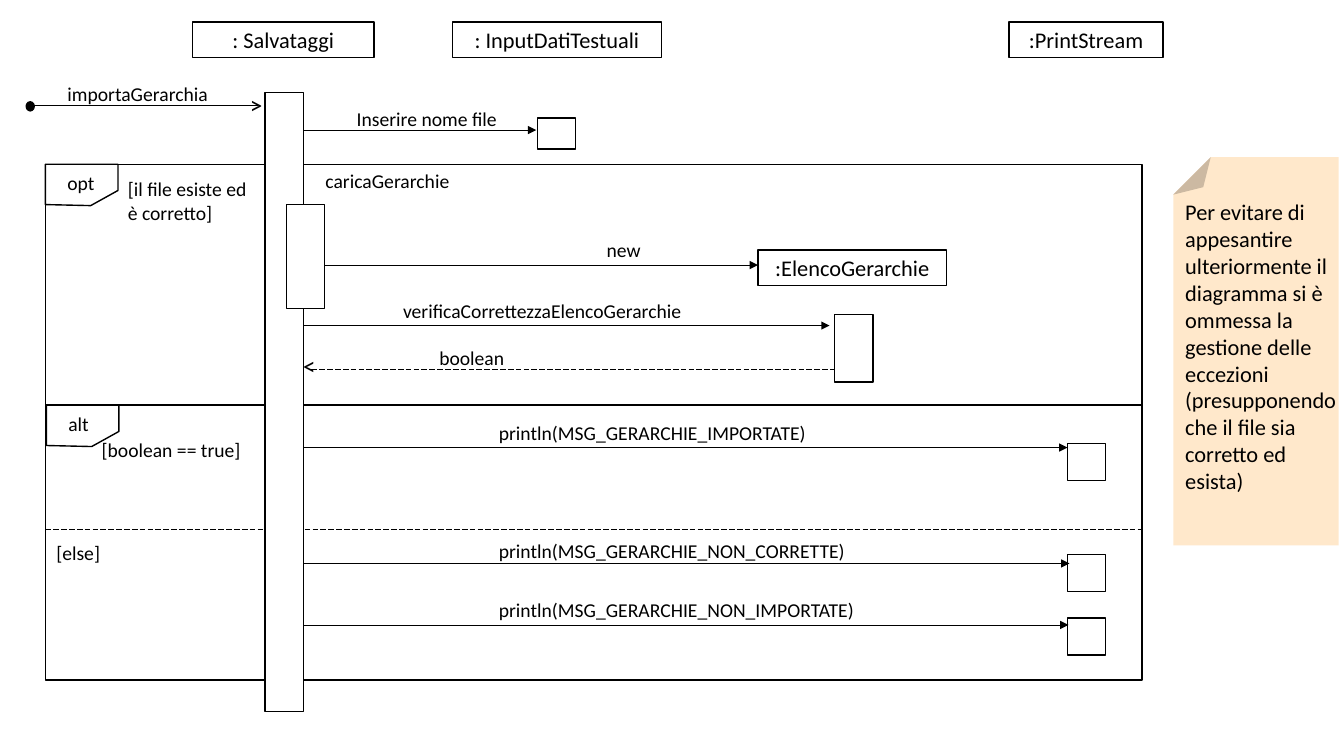
from dataclasses import dataclass

from lxml import etree
from pptx import Presentation
from pptx.dml.color import RGBColor
from pptx.enum.dml import MSO_LINE
from pptx.enum.shapes import MSO_CONNECTOR, MSO_SHAPE
from pptx.enum.text import MSO_ANCHOR, MSO_AUTO_SIZE, PP_ALIGN
from pptx.oxml.ns import qn
from pptx.util import Inches, Pt

RECT = MSO_SHAPE.RECTANGLE
OVAL = MSO_SHAPE.OVAL
FOLD = MSO_SHAPE.FOLDED_CORNER
STRAIGHT = MSO_CONNECTOR.STRAIGHT
DASH = MSO_LINE.LONG_DASH
MIDDLE = MSO_ANCHOR.MIDDLE
CENTER = PP_ALIGN.CENTER
GROW = MSO_AUTO_SIZE.SHAPE_TO_FIT_TEXT

COLS, ROWS = 133.33, 75
UNIT = Inches(0.1)


@dataclass(frozen=True)
class Theme:
    font: str = "Calibri"
    ink: RGBColor = RGBColor(0, 0, 0)
    paper: RGBColor = RGBColor(255, 255, 255)
    note: RGBColor = RGBColor(0xFF, 0xE8, 0xCB)
    label: Pt = Pt(14)
    name: Pt = Pt(16)
    head: Pt = Pt(18)
    edge: Pt = Pt(1)
    thin: Pt = Pt(0.5)


THEME = Theme()
BAR = 3.8
LIFE = 26.3
EDGE = LIFE + BAR
FRAME_X, FRAME_W = 4.5, 108.8
OPT_Y, ALT_Y, END_Y = 16.3, 40.2, 67.45
SINK_X = 105.9


def grid(*cells):
    return [round(n * UNIT) for n in cells]


def write(shape, text, size, align=None):
    frame = shape.text_frame
    frame.word_wrap = True
    frame.text = text
    for para in frame.paragraphs:
        para.alignment = align
        para.font.name = THEME.font
        para.font.size = size
        para.font.color.rgb = THEME.ink


def block(slide, x, y, w, h, kind=RECT, fill=THEME.paper):
    shape = slide.shapes.add_shape(kind, *grid(x, y, w, h))
    shape.shadow.inherit = False
    shape.fill.solid()
    shape.fill.fore_color.rgb = fill
    shape.line.color.rgb = THEME.ink
    shape.line.width = THEME.edge
    return shape


def actor(slide, text, x, y, w):
    shape = block(slide, x, y, w, 3.5)
    shape.text_frame.vertical_anchor = MIDDLE
    write(shape, text, THEME.name, CENTER)


def label(slide, text, x, y, w, h=3.4, size=THEME.label):
    box = slide.shapes.add_textbox(*grid(x, y, w, h))
    write(box, text, size)
    box.text_frame.auto_size = GROW
    return box


def line(slide, start, end, y, arrow=False, dash=False):
    wire = slide.shapes.add_connector(STRAIGHT, *grid(start, y, end, y))
    wire.line.color.rgb = THEME.ink
    wire.line.width = THEME.thin
    if dash:
        wire.line.dash_style = DASH
    if arrow:
        etree.SubElement(wire.line._get_or_add_ln(), qn("a:tailEnd"), type="triangle")
    etree.SubElement(wire._element.spPr, qn("a:effectLst"))


def tag(slide, text, x, y):
    steps = [(7.2, 0), (7.2, 2.6), (4.5, 4.1), (0, 4)]
    pen = slide.shapes.build_freeform(*grid(x, y))
    pen.add_line_segments([grid(x + dx, y + dy) for dx, dy in steps], close=True)
    shape = pen.convert_to_shape()
    shape.shadow.inherit = False
    shape.fill.background()
    shape.line.color.rgb = THEME.ink
    shape.line.width = THEME.edge
    label(slide, text, x + 1.2, y + 0.2, 5)


def note(slide, text):
    shape = block(slide, 116.4, 15.6, 16.4, 38.5, FOLD, THEME.note)
    guides = next(shape._element.iter(qn("a:avLst")))
    for guide in list(guides):
        guides.remove(guide)
    etree.SubElement(guides, qn("a:gd"), name="adj", fmla="val 22600")
    shape.rotation = 180
    shape.line.fill.background()
    label(slide, text, 116.6, 19.2, 17.6, 30.6, THEME.name)


def main():
    deck = Presentation()
    deck.slide_width, deck.slide_height = grid(COLS, ROWS)
    slide = deck.slides.add_slide(deck.slide_layouts[6])

    for top in (OPT_Y, ALT_Y):
        block(slide, FRAME_X, top, FRAME_W, END_Y - top)
    line(slide, FRAME_X, FRAME_X + FRAME_W, 52.5, dash=True)

    bars = [
        (LIFE, 9.2, 61.4), (28.4, 20.3, 10.3), (53.3, 11.7, 3.1), (82.8, 31.2, 6.7),
        (SINK_X, 44, 3.7), (SINK_X, 55, 3.7), (SINK_X, 61.3, 3.7),
    ]
    for x, y, h in bars:
        block(slide, x, y, BAR, h)

    actors = [
        (": Salvataggi", 19.1, 2.2, 18),
        (": InputDatiTestuali", 44.9, 2.2, 20.7),
        (":PrintStream", 100.1, 2.2, 15.3),
        (":ElencoGerarchie", 75.2, 24.8, 18.7),
    ]
    for item in actors:
        actor(slide, *item)

    tag(slide, "opt", FRAME_X, OPT_Y)
    tag(slide, "alt", FRAME_X + 0.1, ALT_Y)

    calls = [
        (EDGE, 53.2, 12.9), (32.2, 75.2, 26.3), (EDGE, 82.3, 32.3),
        (EDGE, SINK_X, 44.4), (EDGE, 106.1, 55.9), (EDGE, 106, 62),
    ]
    for start, end, y in calls:
        line(slide, start, end, y, arrow=True)

    block(slide, 2.6, 10.1, 0.8, 0.9, OVAL, THEME.ink)
    line(slide, 3.3, 25.6, 10.5)
    label(slide, ">", 23.8, 8.4, 3.8, 4, THEME.head)
    line(slide, 30.9, 82.7, 36.6, dash=True)
    label(slide, ">", 29, 34.7, 3.3, 4, THEME.head).rotation = 180

    labels = [
        ("importaGerarchia", 5.7, 7.6, 20),
        ("Inserire nome file", 34.4, 10.1, 17.1),
        ("caricaGerarchie", 31.3, 16.3, 18.8),
        ("[il file esiste ed\nè corretto]", 11.7, 17.1, 15.3, 5.7),
        ("new", 59.2, 23.1, 9.9),
        ("verificaCorrettezzaElencoGerarchie", 39, 29.2, 32),
        ("boolean", 42.6, 33.8, 8.6),
        ("[boolean == true]", 9.1, 43, 18.6),
        ("[else]", 4.6, 53.2, 6.9),
        ("println(MSG_GERARCHIE_IMPORTATE)", 48.5, 41.3, 33.3),
        ("println(MSG_GERARCHIE_NON_CORRETTE)", 48.5, 53, 36.7),
        ("println(MSG_GERARCHIE_NON_IMPORTATE)", 48.5, 58.8, 38),
    ]
    for item in labels:
        label(slide, *item)

    note(slide, "Per evitare di appesantire ulteriormente il diagramma si è ommessa "
                "la gestione delle eccezioni (presupponendo che il file sia corretto ed esista)")
    deck.save("out.pptx")


if __name__ == "__main__":
    main()
